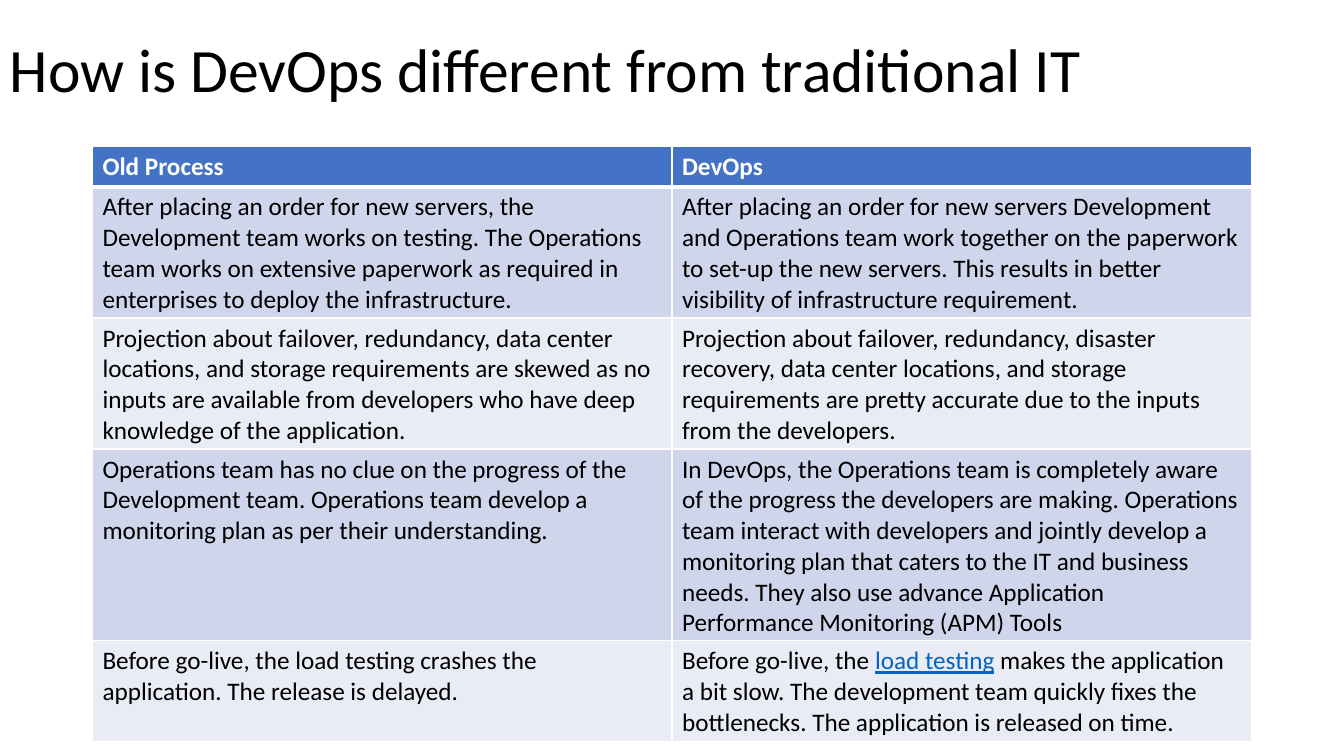
from lxml.etree import SubElement
from pptx import Presentation
from pptx.dml.color import RGBColor
from pptx.enum.text import MSO_ANCHOR
from pptx.oxml.ns import qn
from pptx.util import Cm, Pt

FONT = "Calibri"
COLOURS = {
    "text": "000000",
    "white": "FFFFFF",
    "header": "4472C4",
    "band_dark": "CFD5EA",
    "band_light": "E9EBF5",
    "link": "0563C1",
}
TITLE = "How is DevOps different from traditional IT"
LINKED_WORDS = "load testing"
HEADINGS = ("Old Process", "DevOps")
COMPARISONS = [
    (
        "After placing an order for new servers, the Development team works on testing. "
        "The Operations team works on extensive paperwork as required in enterprises "
        "to deploy the infrastructure.",
        "After placing an order for new servers Development and Operations team work "
        "together on the paperwork to set-up the new servers. This results in better "
        "visibility of infrastructure requirement.",
    ),
    (
        "Projection about failover, redundancy, data center locations, and storage "
        "requirements are skewed as no inputs are available from developers who have "
        "deep knowledge of the application.",
        "Projection about failover, redundancy, disaster recovery, data center locations, "
        "and storage requirements are pretty accurate due to the inputs from the developers.",
    ),
    (
        "Operations team has no clue on the progress of the Development team. "
        "Operations team develop a monitoring plan as per their understanding.",
        "In DevOps, the Operations team is completely aware of the progress the developers "
        "are making. Operations team interact with developers and jointly develop a "
        "monitoring plan that caters to the IT and business needs. They also use advance "
        "Application Performance Monitoring (APM) Tools",
    ),
    (
        "Before go-live, the load testing crashes the application. The release is delayed.",
        ("Before go-live, the ", LINKED_WORDS,
         " makes the application a bit slow. The development team quickly fixes the "
         "bottlenecks. The application is released on time."),
    ),
]


def add_run(paragraph, text, size, colour, bold=False, underline=False):
    """Append one formatted run to a paragraph."""
    run = paragraph.add_run()
    run.text = text
    run.font.name = FONT
    run.font.size = Pt(size)
    run.font.bold = bold
    run.font.underline = underline
    run.font.color.rgb = RGBColor.from_string(COLOURS[colour])


def add_title(slide, left, top, width, height):
    """Place the slide title, vertically centred in its box."""
    frame = slide.shapes.add_textbox(left, top, width, height).text_frame
    frame.word_wrap = True
    frame.vertical_anchor = MSO_ANCHOR.MIDDLE
    paragraph = frame.paragraphs[0]
    paragraph.line_spacing = 0.9
    add_run(paragraph, TITLE, 44, "text")


def set_borders(cell, top, bottom):
    """Draw white borders round a cell, with top and bottom widths in points."""
    properties = cell._tc.get_or_add_tcPr()
    for side, width in (("L", 1), ("R", 1), ("T", top), ("B", bottom)):
        line = SubElement(properties, qn(f"a:ln{side}"), w=str(Pt(width)))
        fill = SubElement(line, qn("a:solidFill"))
        SubElement(fill, qn("a:srgbClr"), val=COLOURS["white"])


def fill_cell(cell, content, row_index):
    """Style a cell by its row and write its text."""
    is_header = row_index == 0
    set_borders(cell, 3 if row_index == 1 else 1, 3 if is_header else 1)
    band = "band_dark" if row_index % 2 else "band_light"
    cell.fill.solid()
    cell.fill.fore_color.rgb = RGBColor.from_string(
        COLOURS["header" if is_header else band])
    paragraph = cell.text_frame.paragraphs[0]
    for text in (content,) if isinstance(content, str) else content:
        is_link = text == LINKED_WORDS
        colour = "white" if is_header else "link" if is_link else "text"
        add_run(paragraph, text, 18, colour, is_header, is_link)


def add_comparison(slide, left, top, width, height):
    """Place the two-column comparison table, whose rows grow with their text."""
    rows = [HEADINGS, *COMPARISONS]
    shape = slide.shapes.add_table(len(rows), len(HEADINGS), left, top, width, height)
    for row_index, contents in enumerate(rows):
        row = shape.table.rows[row_index]
        row.height = Cm(1.03)
        for cell, content in zip(row.cells, contents):
            fill_cell(cell, content, row_index)
    shape.height = height


def main():
    """Build and save the presentation."""
    presentation = Presentation()
    presentation.slide_width = Cm(33.87)
    presentation.slide_height = Cm(19.05)
    slide = presentation.slides.add_slide(presentation.slide_layouts[6])
    title_height = Cm(3.68)
    content_width = Cm(29.21)
    add_title(slide, 0, 0, content_width, title_height)
    add_comparison(slide, Cm(2.33), title_height, content_width, Cm(15.01))
    presentation.save("out.pptx")


if __name__ == "__main__":
    main()
